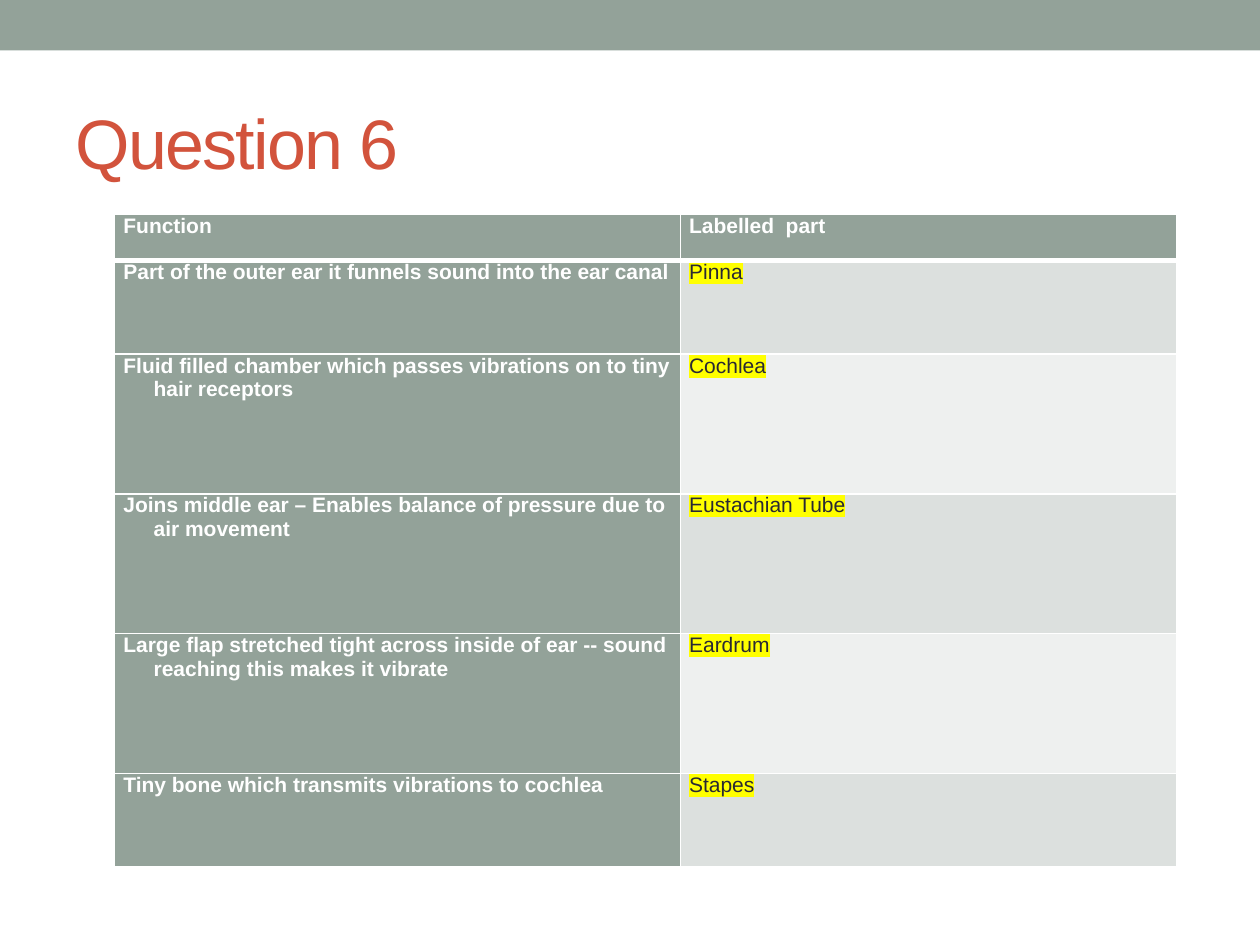
from pptx import Presentation
from pptx.dml.color import RGBColor
from pptx.enum.shapes import MSO_SHAPE
from pptx.enum.text import MSO_ANCHOR, PP_ALIGN
from pptx.oxml import parse_xml
from pptx.oxml.ns import nsdecls, qn
from pptx.util import Inches, Pt

SAGE, WHITE, DARK, RUST = "93A299", "FFFFFF", "292934", "D2533C"
BANDS = ["DCE0DE", "EEF0EF"]
MARK = "FFFF00"
COLS = [4.49, 3.94]
ROWS = [0.37, 0.74, 1.11, 1.11, 1.11, 0.74]
PARTS = [
    ("Function", "Labelled  part"),
    ("Part of the outer ear it funnels sound into the ear canal", "Pinna"),
    ("Fluid filled chamber which passes vibrations on to tiny hair receptors", "Cochlea"),
    ("Joins middle ear – Enables balance of pressure due to air movement", "Eustachian Tube"),
    ("Large flap stretched tight across inside of ear -- sound reaching this makes it vibrate",
     "Eardrum"),
    ("Tiny bone which transmits vibrations to cochlea", "Stapes"),
]


def paint(target, color):
    target.solid()
    target.fore_color.rgb = RGBColor.from_string(color)


def style(run, size, color, bold=False):
    font = run.font
    font.name, font.size, font.bold = "Arial", Pt(size), bold
    paint(font.fill, color)


def xml(tag, attrs, inner=""):
    return parse_xml(f'<a:{tag} {nsdecls("a")} {attrs}>{inner}</a:{tag}>')


def add_bar(slide):
    bar = slide.shapes.add_shape(MSO_SHAPE.RECTANGLE, 0, 0, Inches(10), Inches(0.4))
    bar.shadow.inherit = False
    paint(bar.fill, SAGE)
    bar.line.fill.background()


def set_title(slide, text):
    title = slide.shapes.title
    title.left, title.top = Inches(0.5), Inches(0.58)
    title.width, title.height = Inches(9), Inches(1.08)
    frame = title.text_frame
    frame.text = text
    frame.vertical_anchor = MSO_ANCHOR.MIDDLE
    para = frame.paragraphs[0]
    para.alignment = PP_ALIGN.LEFT
    style(para.runs[0], 40, RUST)
    para.runs[0].font._element.set("spc", "-100")


def set_edges(cell, row):
    # The rule under the header is thicker than the others
    widths = {"L": 1, "R": 1, "T": 3 if row == 1 else 1, "B": 3 if row == 0 else 1}
    props = cell._tc.get_or_add_tcPr()
    for side, width in widths.items():
        fill = f'<a:solidFill><a:srgbClr val="{WHITE}"/></a:solidFill>'
        props.append(xml(f"ln{side}", f'w="{Pt(width)}"', fill))


def fill_cell(cell, text, row, col):
    answer = row > 0 and col == 1
    set_edges(cell, row)
    paint(cell.fill, BANDS[(row - 1) % 2] if answer else SAGE)
    cell.margin_left = cell.margin_right = Inches(0.07)
    cell.margin_top = cell.margin_bottom = 0

    # Hanging indent with a tab stop at its edge
    cell.text_frame.text = text
    para = cell.text_frame.paragraphs[0]
    para.space_after = Pt(2)
    hang = Inches(0.24)
    props = para._p.get_or_add_pPr()
    props.set("marL", str(hang))
    props.set("indent", str(-hang))
    props.append(xml("tabLst", "", f'<a:tab pos="{hang}" algn="l"/>'))

    run = para.runs[0]
    style(run, 12, DARK if answer else WHITE, not answer)
    if answer:
        mark = xml("highlight", "", f'<a:srgbClr val="{MARK}"/>')
        run.font._element.find(qn("a:solidFill")).addnext(mark)


def add_grid(slide):
    frame = slide.shapes.add_table(len(ROWS), len(COLS), Inches(0.91), Inches(1.7),
                                   Inches(sum(COLS)), Inches(sum(ROWS)))
    table = frame.table
    table.first_col = True
    for col, width in enumerate(COLS):
        table.columns[col].width = Inches(width)
    for row, height in enumerate(ROWS):
        table.rows[row].height = Inches(height)
        for col, text in enumerate(PARTS[row]):
            fill_cell(table.cell(row, col), text, row, col)


def main():
    deck = Presentation()
    deck.slide_width, deck.slide_height = Inches(10), Inches(7.5)
    slide = deck.slides.add_slide(deck.slide_layouts[5])
    add_bar(slide)
    set_title(slide, "Question 6")
    add_grid(slide)
    deck.save("out.pptx")


if __name__ == "__main__":
    main()
